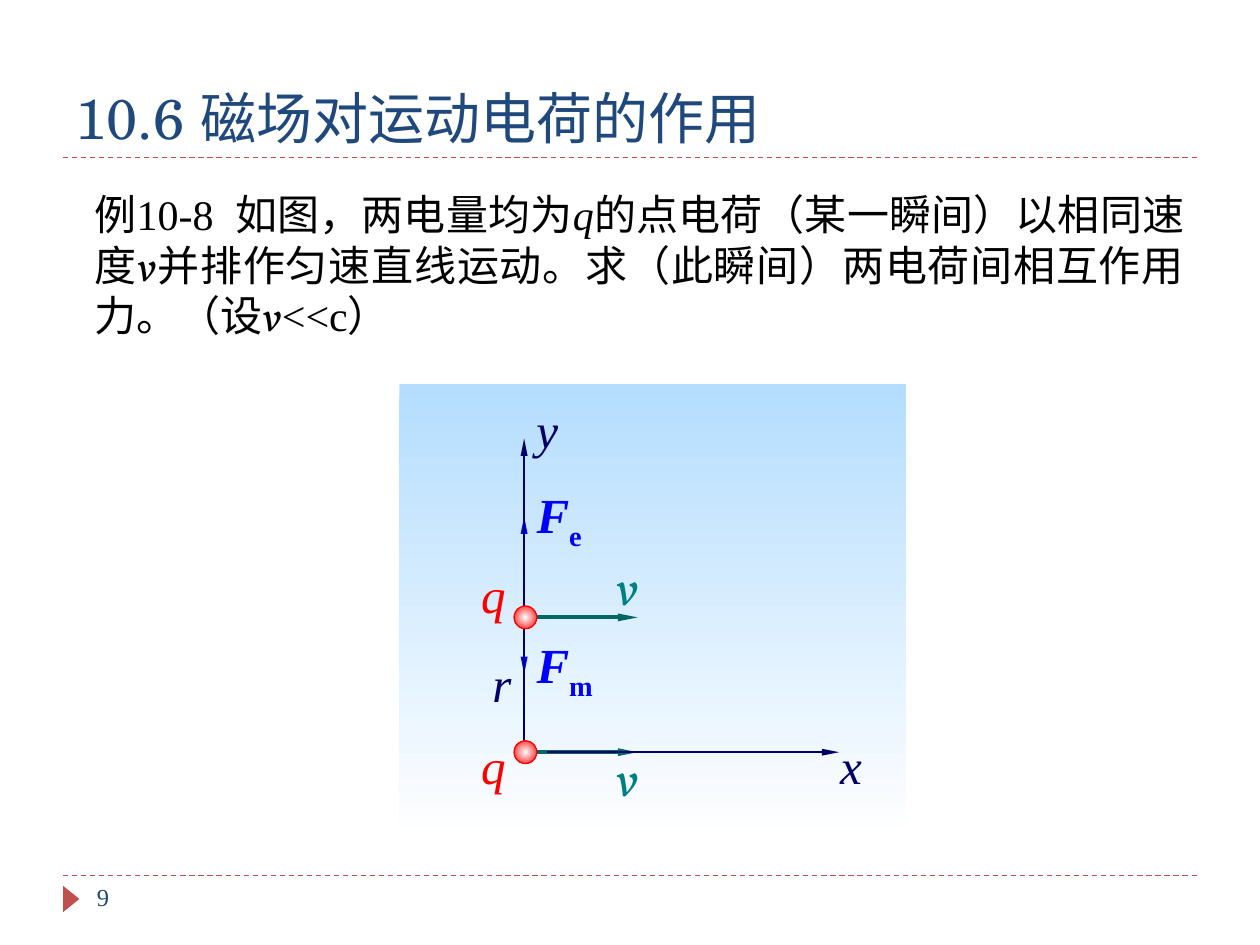
from lxml import etree
from pptx import Presentation, util as u
from pptx.dml.color import RGBColor
from pptx.enum import dml, shapes, text as t
from pptx.oxml import parse_xml
from pptx.oxml.ns import qn, nsdecls

NAVY, RED, BLUE, TEAL = "000066", "FF0000", "0000FF", "006666"
TITLE, RULE = "1F497D", "C0504D"
ROMAN, VOLL = "Times New Roman", "Vollkorn"


def cell(n):
    """Length of n cells on the slide's grid of 100 columns by 75 rows."""
    return u.Inches(n / 10)


def color(fmt, code):
    fmt.rgb = RGBColor.from_string(code)


def write(shape, runs, size, code, align=t.PP_ALIGN.LEFT, **frame):
    """Fill one paragraph with (text, format) runs."""
    box = shape.text_frame
    for key, val in {"word_wrap": True, **frame}.items():
        setattr(box, key, val)
    para = box.paragraphs[0]
    para.alignment = align
    for words, fmt in runs:
        run = para.add_run()
        run.text = words
        fmt = dict(fmt)
        base = fmt.pop("base", None)
        for key, val in {"name": ROMAN, "size": u.Pt(size), **fmt}.items():
            setattr(run.font, key, val)
        color(run.font.color, code)
        if base:
            run.font._element.set("baseline", str(base))


def label(slide, box, runs, size, code, **frame):
    shape = slide.shapes.add_textbox(*map(cell, box))
    write(shape, runs, size, code, **frame)


def line(slide, start, end, code, width, dash=False, arrow=False):
    part = slide.shapes.add_connector(
        shapes.MSO_CONNECTOR.STRAIGHT, *map(cell, (*start, *end)))
    color(part.line.color, code)
    part.line.width = u.Pt(width)
    if dash:
        part.line.dash_style = dml.MSO_LINE.DASH
    if arrow:
        etree.SubElement(part.line._get_or_add_ln(), qn("a:tailEnd"),
                         type="triangle", w="sm", len="lg")
    etree.SubElement(part._element.spPr, qn("a:effectLst"))


def solid(slide, kind, box):
    shape = slide.shapes.add_shape(kind, *map(cell, box))
    shape.shadow.inherit = False
    shape.line.fill.background()
    return shape


def blend(shape, first, last):
    """Gradient from top to bottom."""
    shape.fill.gradient()
    shape.fill.gradient_angle = 270
    for stop, code, pos in zip(shape.fill.gradient_stops, (first, last), (0, 1)):
        color(stop.color, code)
        stop.position = pos


def charge(slide, x, y, size=1.8):
    ball = solid(slide, shapes.MSO_SHAPE.OVAL,
                 (x - size / 2, y - size / 2, size, size))
    blend(ball, "FFFFFF", RED)
    color(ball.line.color, RED)
    ball.line.width = u.Pt(0.75)
    lin = ball._element.spPr.find(".//" + qn("a:lin"))
    lin.getparent().replace(lin, parse_xml(
        f'<a:path {nsdecls("a")} path="circle">'
        '<a:fillToRect l="50000" t="50000" r="50000" b="50000"/></a:path>'))


def header(slide, box):
    x, y, w, h = box
    title = slide.shapes.title
    title.left, title.top, title.width, title.height = map(cell, box)
    write(title, [("10.6 磁场对运动电荷的作用", {"name": "TeX Gyre Schola"})],
          32, TITLE, vertical_anchor=t.MSO_ANCHOR.BOTTOM)
    line(slide, (x, y + h), (x + w, y + h), RULE, 0.75, dash=True)


def footer(slide, box):
    x, y, w, h = box
    line(slide, (x, y), (x + w, y), RULE, 0.75, dash=True)
    mark = solid(slide, shapes.MSO_SHAPE.ISOSCELES_TRIANGLE,
                 (x - 0.4, y + 1.2, 2.1, 1.3))
    mark.rotation = 90
    mark.fill.solid()
    color(mark.fill.fore_color, RULE)
    label(slide, (x + 1.7, y, 21.7, h), [("9", {})], 14, TITLE)


def problem(slide, box):
    q = ("q", {"italic": True})
    v = ("v", {"name": VOLL, "italic": True})
    runs = [("例10-8  如图，两电量均为", {}), q,
            ("的点电荷（某一瞬间）以相同速度", {}), v,
            ("并排作匀速直线运动。求（此瞬间）两电荷间相互作用力。（设", {}), v,
            ("<<c）", {})]
    label(slide, box, runs, 24, "000000", align=t.PP_ALIGN.JUSTIFY,
          auto_size=t.MSO_AUTO_SIZE.SHAPE_TO_FIT_TEXT)


def figure(slide, box):
    """Two charges on the y axis, with their forces and velocities."""
    x, y = box[:2]
    mid, high, low = 9.9, 18.5, 29.2
    back = solid(slide, shapes.MSO_SHAPE.RECTANGLE, box)
    blend(back, "B4DDFE", "FFFFFF")

    def arrow(x1, y1, x2, y2, code, width, head=True):
        line(slide, (x + x1, y + y1), (x + x2, y + y2), code, width, arrow=head)

    def sign(col, row, letter, code, sub="", name=ROMAN):
        runs = [(letter, {"name": name, "italic": True, "bold": bool(sub)})]
        if sub:
            runs.append((sub, {"bold": True, "base": -25000}))
        label(slide, (x + col, y + row, 8.9 if sub else 5.3, 5.7),
              runs, 28, code, auto_size=t.MSO_AUTO_SIZE.SHAPE_TO_FIT_TEXT)

    arrow(mid, high + 0.9, mid, low, NAVY, 0.75, head=False)
    for row in (high, low):
        arrow(mid + 1, row, mid + 9, row, TEAL, 2.25)
    for row in (13.2, 28.3):
        sign(16.2, row, "v", "008080", name=VOLL)
    for row in (13.8, 27.4):
        sign(5.5, row, "q", RED)
    arrow(mid, high, mid, high - 8, BLUE, 1.5)
    arrow(mid, high + 0.9, mid, high + 4.5, BLUE, 1.5)
    for row, sub in ((7.5, "e"), (19.4, "m")):
        sign(mid, row, "F", BLUE, sub)
    arrow(mid + 1.8, low, mid + 25, low, NAVY, 1.5)
    arrow(mid, low, mid, 4.3, NAVY, 1.5)
    for col, row, letter in ((6.4, 20.9, "r"), (34, 27.4, "x"), (mid, 0.7, "y")):
        sign(col, row, letter, NAVY)
    for row in (high, low):
        charge(slide, x + mid + 0.1, y + row)


def main():
    deck = Presentation()
    deck.slide_width, deck.slide_height = cell(100), cell(75)
    slide = deck.slides.add_slide(deck.slide_layouts[5])
    header(slide, (5, 2.5, 90, 10))
    footer(slide, (5, 69.5, 90, 4))
    problem(slide, (6.5, 14.5, 88.5, 13))
    figure(slide, (31.7, 30.5, 40.2, 36.2))
    deck.save("out.pptx")


if __name__ == "__main__":
    main()
